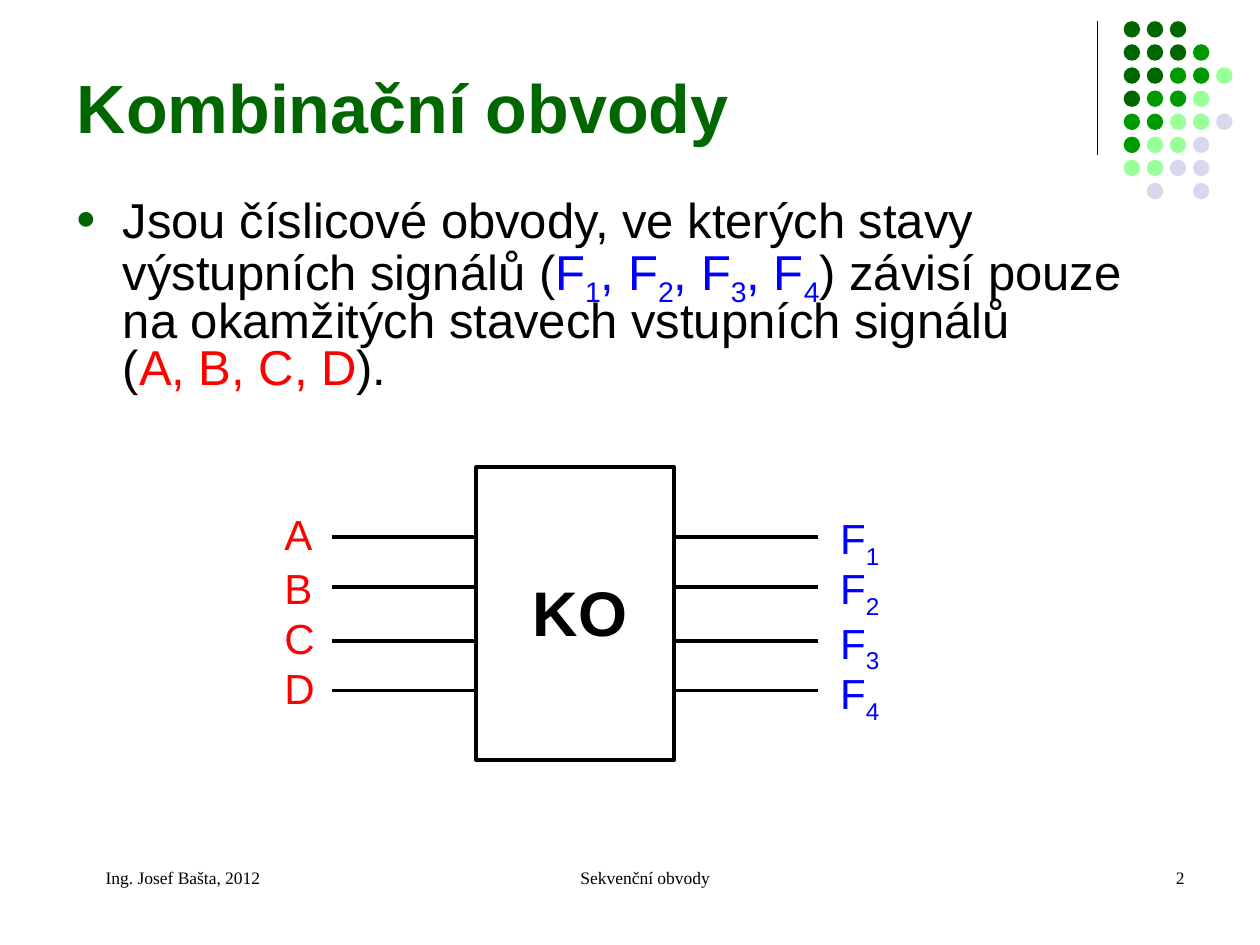
import pptx
import pptx.util
import pptx.dml.color
import pptx.enum.shapes
import pptx.enum.text
import pptx.oxml
import pptx.oxml.ns
from pptx.util import Pt

THEME = {
    "sans": "Arial", "serif": "Times New Roman",
    "title": 39, "body": 28, "label": 24, "block": 36, "footer": 10,
    "green": "006600", "text": "000000", "input": "FF0000", "output": "0000FF",
    "wire": 2.25, "rule": 0.75,
    "dots": {"d": "006600", "m": "009900", "l": "99FF99", "p": "D8D8EC"},
}

TITLE = "Kombinační obvody"
INPUTS = ["A", "B", "C", "D"]
OUTPUTS = ["1", "2", "3", "4"]
BLOCK = "KO"
DOT_ROWS = ["ddd", "dddm", "ddmml", "dmml", "mmllp", "mllp", "llpp", " p p"]

# Text, colour, subscript; a line feed is a line break
BODY = [("Jsou číslicové obvody, ve kterých stavy výstupních signálů (", "text", False)]
for index, digit in enumerate(OUTPUTS):
    BODY += [(", F" if index else "F", "output", False), (digit, "output", True)]
BODY += [
    (") závisí pouze na okamžitých stavech vstupních signálů ", "text", False),
    ("\n", "text", False),
    ("(", "text", False),
    (", ".join(INPUTS), "input", False),
    (").", "text", False),
]

ALIGN = pptx.enum.text.PP_ALIGN
# Text, left, width, alignment
FOOTERS = [
    ("Sekvenční obvody", 246, 228, ALIGN.CENTER),
    ("2", 516, 168, ALIGN.RIGHT),
    ("Ing. Josef Bašta, 2012", 36, 168, ALIGN.LEFT),
]

# Diagram geometry in points
BLOCK_LEFT, BLOCK_TOP, BLOCK_WIDTH, BLOCK_HEIGHT = 272.2, 267, 113.2, 167.2
WIRE_LENGTH = 82.3
WIRE_YS = [306.7, 335.5, 366.5, 394.6]
INPUT_TOPS = [287.3, 318.2, 346.3, 375.1]
OUTPUT_TOPS = [289.4, 318.2, 349.2, 378]
DOT_LEFT, DOT_TOP, DOT_PITCH, DOT_SIZE = 642.1, 12.1, 13.2, 9.4


def rgb(value):
    return pptx.dml.color.RGBColor.from_string(value)


def add_span(para, text, size, color, font="sans", bold=False, sub=False):
    span = para.add_run()
    span.text = text
    span.font.size = Pt(THEME[size])
    span.font.name = THEME[font]
    span.font.bold = bold
    span.font.color.rgb = rgb(THEME[color])
    if sub:
        span._r.get_or_add_rPr().set("baseline", "-25000")


def set_indent(para, left, first=0):
    properties = para._p.get_or_add_pPr()
    properties.set("marL", str(Pt(left)))
    properties.set("indent", str(Pt(first)))


def add_bullet(para, symbol, color, percent):
    namespace = pptx.oxml.ns.nsdecls("a")
    for xml in (
        f'<a:buClr {namespace}><a:srgbClr val="{color}"/></a:buClr>',
        f'<a:buSzPct {namespace} val="{percent * 1000}"/>',
        f'<a:buFont {namespace} typeface="{THEME["sans"]}"/>',
        f'<a:buChar {namespace} char="{symbol}"/>',
    ):
        para._p.get_or_add_pPr().append(pptx.oxml.parse_xml(xml))


def place(shape, left, top, width, height):
    shape.left, shape.top = Pt(left), Pt(top)
    shape.width, shape.height = Pt(width), Pt(height)


def prepare(box, anchor=pptx.enum.text.MSO_ANCHOR.TOP):
    """Set wrapping and anchor, and return the first paragraph."""
    frame = box.text_frame
    frame.word_wrap = True
    frame.auto_size = pptx.enum.text.MSO_AUTO_SIZE.NONE
    frame.vertical_anchor = anchor
    para = frame.paragraphs[0]
    para.space_before = Pt(0)
    return para


def add_text(shapes, left, top, width, height):
    return prepare(shapes.add_textbox(Pt(left), Pt(top), Pt(width), Pt(height)))


def add_line(shapes, x1, y1, x2, y2, weight):
    line = shapes.add_connector(
        pptx.enum.shapes.MSO_CONNECTOR.STRAIGHT, Pt(x1), Pt(y1), Pt(x2), Pt(y2))
    line.line.color.rgb = rgb(THEME["text"])
    line.line.width = Pt(weight)
    effects = pptx.oxml.parse_xml(f'<a:effectLst {pptx.oxml.ns.nsdecls("a")}/>')
    line._element.spPr.append(effects)


def add_decoration(page):
    add_line(page.shapes, 627.1, 12.2, 627.1, 88.6, THEME["rule"])
    dots = page.shapes.add_group_shape().shapes
    for row, codes in enumerate(DOT_ROWS):
        for column, code in enumerate(codes):
            if code == " ":
                continue
            dot = dots.add_shape(
                pptx.enum.shapes.MSO_SHAPE.OVAL,
                Pt(DOT_LEFT + column * DOT_PITCH), Pt(DOT_TOP + row * DOT_PITCH),
                Pt(DOT_SIZE), Pt(DOT_SIZE))
            dot.shadow.inherit = False
            dot.fill.solid()
            dot.fill.fore_color.rgb = rgb(THEME["dots"][code])
            dot.line.fill.background()


def add_content(page):
    title, body = page.placeholders
    place(title, 36.7, 25.9, 594, 61.9)
    para = prepare(title, pptx.enum.text.MSO_ANCHOR.BOTTOM)
    para.alignment = ALIGN.LEFT
    add_span(para, TITLE, "title", "green", bold=True)

    place(body, 36, 110.9, 648, 130.3)
    para = prepare(body)
    para.line_spacing = 0.8
    set_indent(para, 27, -27)
    add_bullet(para, "●", THEME["green"], 70)
    for text, color, sub in BODY:
        if text == "\n":
            para.add_line_break()
        else:
            add_span(para, text, "body", color, sub=sub)


def add_diagram(page):
    shapes = page.shapes.add_group_shape().shapes
    block = shapes.add_shape(
        pptx.enum.shapes.MSO_SHAPE.RECTANGLE,
        Pt(BLOCK_LEFT), Pt(BLOCK_TOP), Pt(BLOCK_WIDTH), Pt(BLOCK_HEIGHT))
    block.shadow.inherit = False
    block.fill.background()
    block.line.color.rgb = rgb(THEME["text"])
    block.line.width = Pt(THEME["wire"])

    for start in (BLOCK_LEFT - WIRE_LENGTH, BLOCK_LEFT + BLOCK_WIDTH):
        for y in WIRE_YS:
            add_line(shapes, start, y, start + WIRE_LENGTH, y, THEME["wire"])
    for name, top in zip(INPUTS, INPUT_TOPS):
        add_span(add_text(shapes, 155.5, top, 31, 36), name, "label", "input")
    for digit, top in zip(OUTPUTS, OUTPUT_TOPS):
        para = add_text(shapes, 473, top, 42.5, 40.3)
        add_span(para, "F", "label", "output")
        add_span(para, digit, "label", "output", sub=True)
    add_span(add_text(shapes, 297.4, 324, 73.4, 50.4), BLOCK, "block", "text", bold=True)


def add_footers(page):
    for text, left, width, alignment in FOOTERS:
        para = add_text(page.shapes, left, 491.8, width, 36)
        para.alignment = alignment
        set_indent(para, 17.3)
        add_span(para, text, "footer", "text", font="serif")


def main():
    deck = pptx.Presentation()
    deck.slide_width, deck.slide_height = Pt(720), Pt(540)
    page = deck.slides.add_slide(deck.slide_layouts[1])
    add_decoration(page)
    add_content(page)
    add_diagram(page)
    add_footers(page)
    deck.save("out.pptx")


if __name__ == "__main__":
    main()
